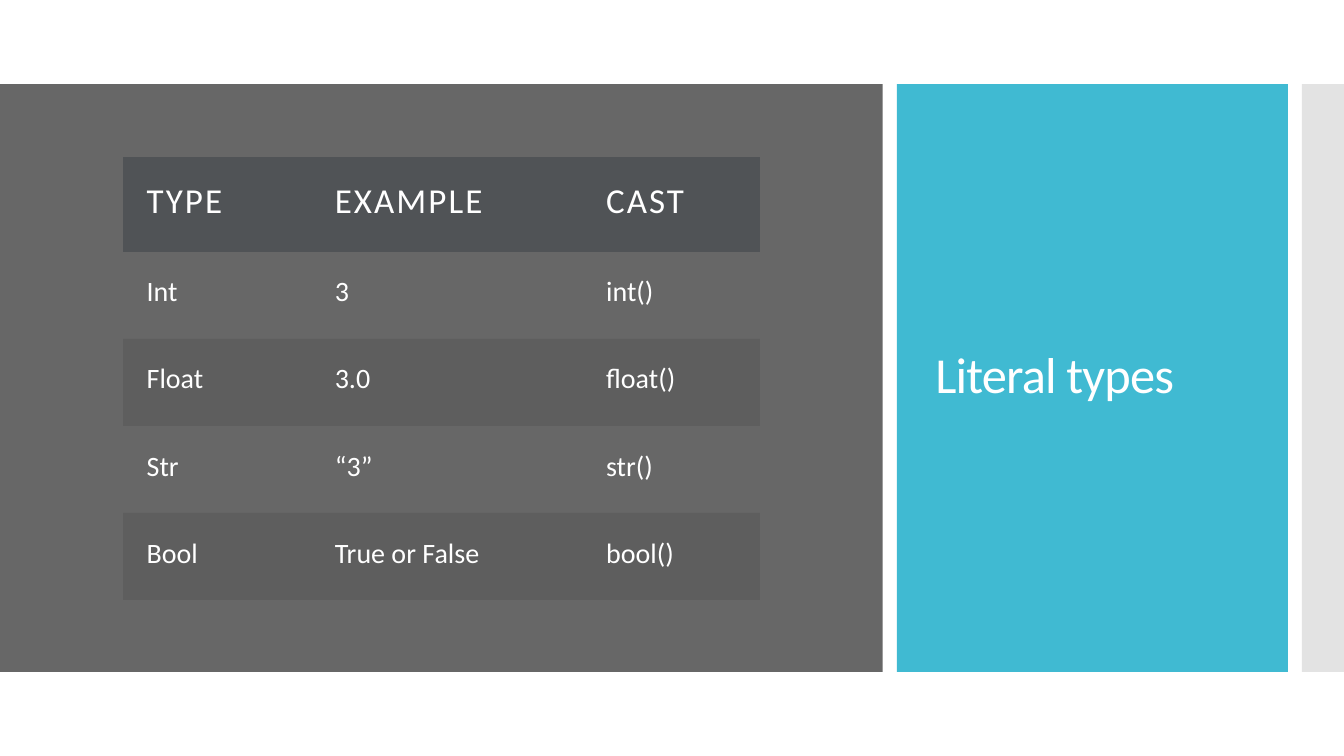
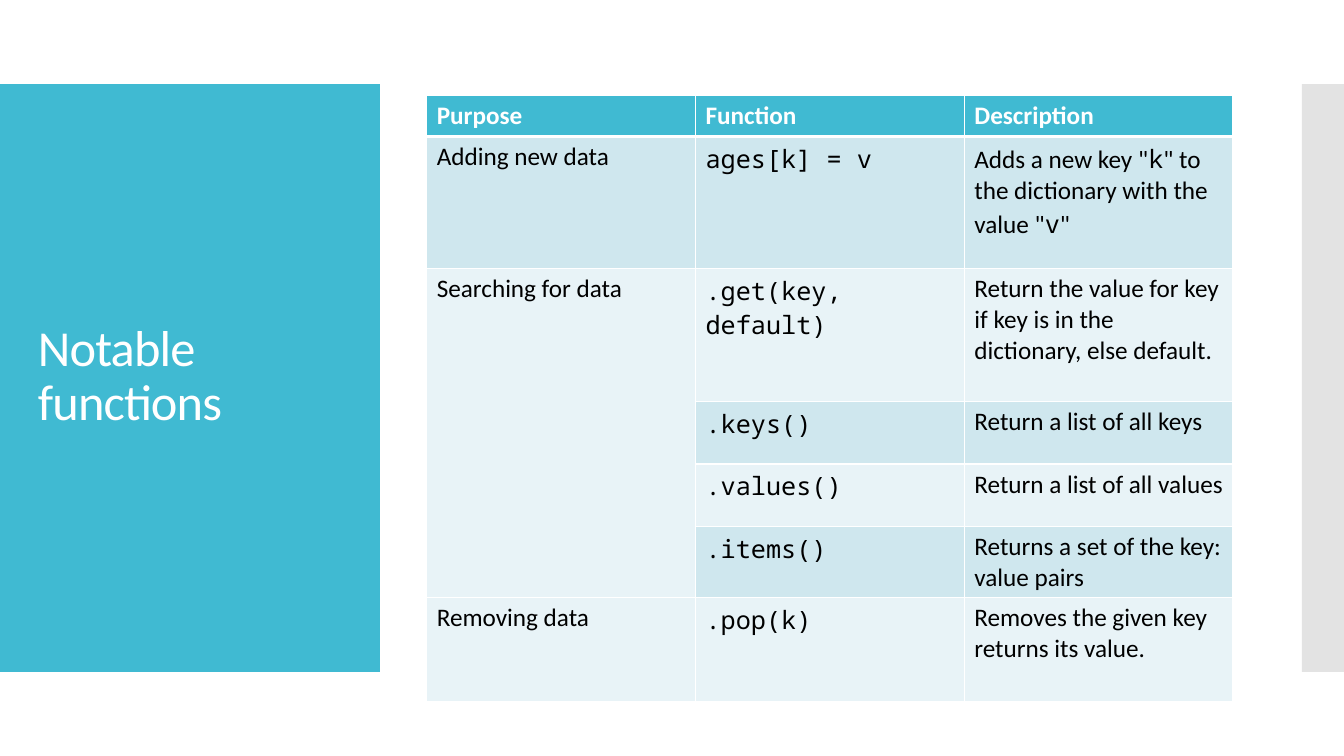
from dataclasses import dataclass
from typing import Any

from lxml import etree
from pptx import Presentation
from pptx.dml.color import RGBColor
from pptx.enum.shapes import MSO_SHAPE
from pptx.enum.text import MSO_ANCHOR
from pptx.oxml.ns import qn
from pptx.util import Pt

RECT = MSO_SHAPE.RECTANGLE
MIDDLE = MSO_ANCHOR.MIDDLE
SANS, MONO = "Calibri", "Noto Sans Mono"
WHITE, BLACK, TEAL, GREY, STRIPE = "FFFFFF", "000000", "40BAD2", "676767", "C8C8C8"
SLATE, PALE, PALER = "505356", "CFE7EE", "E8F3F7"
BAND_TOP, BAND_HEIGHT = 60, 420


@dataclass
class Band:
    left: float
    width: float
    color: str
    alpha: int = 100


@dataclass
class CellStyle:
    fill: str | None
    size: float
    color: str
    bold: bool = False
    spacing: float = 0
    alpha: int = 100
    inset: float | None = None
    border: float = 0
    bottom: float = 0


EDGE = Band(930, 30, STRIPE, 50)

TYPE_HEAD = CellStyle(SLATE, 25, WHITE, spacing=1.5, inset=16.8)
TYPE_PLAIN = CellStyle(None, 20, WHITE, inset=16.8)
TYPE_SHADED = CellStyle(BLACK, 20, WHITE, alpha=8, inset=16.8)
FUNCTION_HEAD = CellStyle(TEAL, 18, WHITE, bold=True, border=1, bottom=3)
FUNCTION_ODD = CellStyle(PALE, 18, BLACK, border=1, bottom=1)
FUNCTION_EVEN = CellStyle(PALER, 18, BLACK, border=1, bottom=1)

LITERAL_TYPES = [
    ("TYPE", "EXAMPLE", "CAST"),
    ("Int", "3", "int()"),
    ("Float", "3.0", "float()"),
    ("Str", "“3”", "str()"),
    ("Bool", "True or False", "bool()"),
]
FUNCTIONS = [
    ("Purpose", "Function", "Description"),
    ("Adding new data", "`ages[k] = v`",
     'Adds a new key "`k`" to the dictionary with the value "`v`"'),
    ("Searching for data", "`.get(key, default)`",
     "Return the value for key if key is in the dictionary, else default."),
    ("", "`.keys()`", "Return a list of all keys"),
    ("", "`.values()`", "Return a list of all values"),
    ("", "`.items()`", "Returns a set of the key: value pairs"),
    ("Removing data", "`.pop(k)`", "Removes the given key returns its value."),
]


def rgb(color: str) -> RGBColor:
    return RGBColor.from_string(color)


def paint(fill: Any, props: Any, color: str | None, alpha: int = 100) -> None:
    if color is None:
        fill.background()
        return
    fill.solid()
    fill.fore_color.rgb = rgb(color)
    if alpha < 100:
        clr = props.find(qn("a:solidFill") + "/" + qn("a:srgbClr"))
        etree.SubElement(clr, qn("a:alpha"), val=str(alpha * 1000))


def write(tf: Any, text: str, *, size: float, color: str, bold: bool = False,
          spacing: float = 0, line_spacing: float | None = None) -> None:
    """Write one paragraph, setting the parts between backticks in the code font."""
    p = tf.paragraphs[0]
    p.line_spacing = line_spacing
    for i, part in enumerate(text.split("`")):
        if part:
            r = p.add_run()
            r.text = part
            r.font.name = MONO if i % 2 else SANS
            r.font.size = Pt(size)
            r.font.bold = bold
            r.font.color.rgb = rgb(color)
            if spacing:
                r.font._element.set("spc", str(round(spacing * 100)))


def add_band(s: Any, band: Band) -> None:
    sp = s.shapes.add_shape(RECT, Pt(band.left), Pt(BAND_TOP), Pt(band.width), Pt(BAND_HEIGHT))
    sp.shadow.inherit = False
    sp.line.fill.background()
    paint(sp.fill, sp._element.spPr, band.color, band.alpha)


def add_title(s: Any, left: float, text: str) -> None:
    tf = s.shapes.add_textbox(Pt(left), Pt(88.5), Pt(232), Pt(362)).text_frame
    tf.word_wrap = True
    tf.vertical_anchor = MIDDLE
    write(tf, text, size=36, color=WHITE, spacing=-0.6, line_spacing=0.9)


def set_borders(tc_pr: Any, style: CellStyle) -> None:
    widths = {"L": style.border, "R": style.border, "T": style.border, "B": style.bottom}
    for i, (side, width) in enumerate(widths.items()):
        ln = etree.Element(qn(f"a:ln{side}"), w=str(Pt(width)))
        if width:
            fill = etree.SubElement(ln, qn("a:solidFill"))
            etree.SubElement(fill, qn("a:srgbClr"), val=WHITE)
        else:
            etree.SubElement(ln, qn("a:noFill"))
        tc_pr.insert(i, ln)


def format_cell(cell: Any, text: str, style: CellStyle) -> None:
    if style.inset is not None:
        cell.margin_left = cell.margin_right = Pt(style.inset)
        cell.margin_top = cell.margin_bottom = Pt(style.inset)
    tc_pr = cell._tc.get_or_add_tcPr()
    paint(cell.fill, tc_pr, style.fill, style.alpha)
    set_borders(tc_pr, style)
    write(cell.text_frame, text, size=style.size, color=style.color,
          bold=style.bold, spacing=style.spacing)


def add_grid(s: Any, left: float, top: float, widths: list[float], heights: list[float],
             rows: list[tuple[str, ...]], styles: list[CellStyle]) -> Any:
    table = s.shapes.add_table(len(rows), len(widths), Pt(left), Pt(top),
                               Pt(sum(widths)), Pt(sum(heights))).table
    table.first_row = table.horz_banding = False
    for column, width in zip(table.columns, widths):
        column.width = Pt(width)
    for i, (row, height) in enumerate(zip(rows, heights)):
        table.rows[i].height = Pt(height)
        style = styles[0] if i == 0 else styles[2 - i % 2]
        for j, text in enumerate(row):
            format_cell(table.cell(i, j), text, style)
    return table


def add_slide(prs: Any, title: str, title_left: float, bands: list[Band]) -> Any:
    s = prs.slides.add_slide(prs.slide_layouts[6])
    for band in [*bands, EDGE]:
        add_band(s, band)
    add_title(s, title_left, title)
    return s


def main() -> None:
    prs = Presentation()
    prs.slide_width, prs.slide_height = Pt(960), Pt(540)

    s = add_slide(prs, "Literal types", 661, [Band(0, 630.5, GREY), Band(640.7, 279.3, TEAL)])
    add_grid(s, 88, 112.2, [134.4, 193.8, 126.6], [67.6] + [62.2] * 4, LITERAL_TYPES,
             [TYPE_HEAD, TYPE_PLAIN, TYPE_SHADED])

    s = add_slide(prs, "Notable functions", 20, [Band(0, 271.3, TEAL)])
    table = add_grid(s, 304.8, 68, [192] * 3, [29.5, 94.5, 95, 44.5, 44.5, 51, 74], FUNCTIONS,
                     [FUNCTION_HEAD, FUNCTION_ODD, FUNCTION_EVEN])
    table.cell(2, 0).merge(table.cell(5, 0))

    prs.save("out.pptx")


if __name__ == "__main__":
    main()
